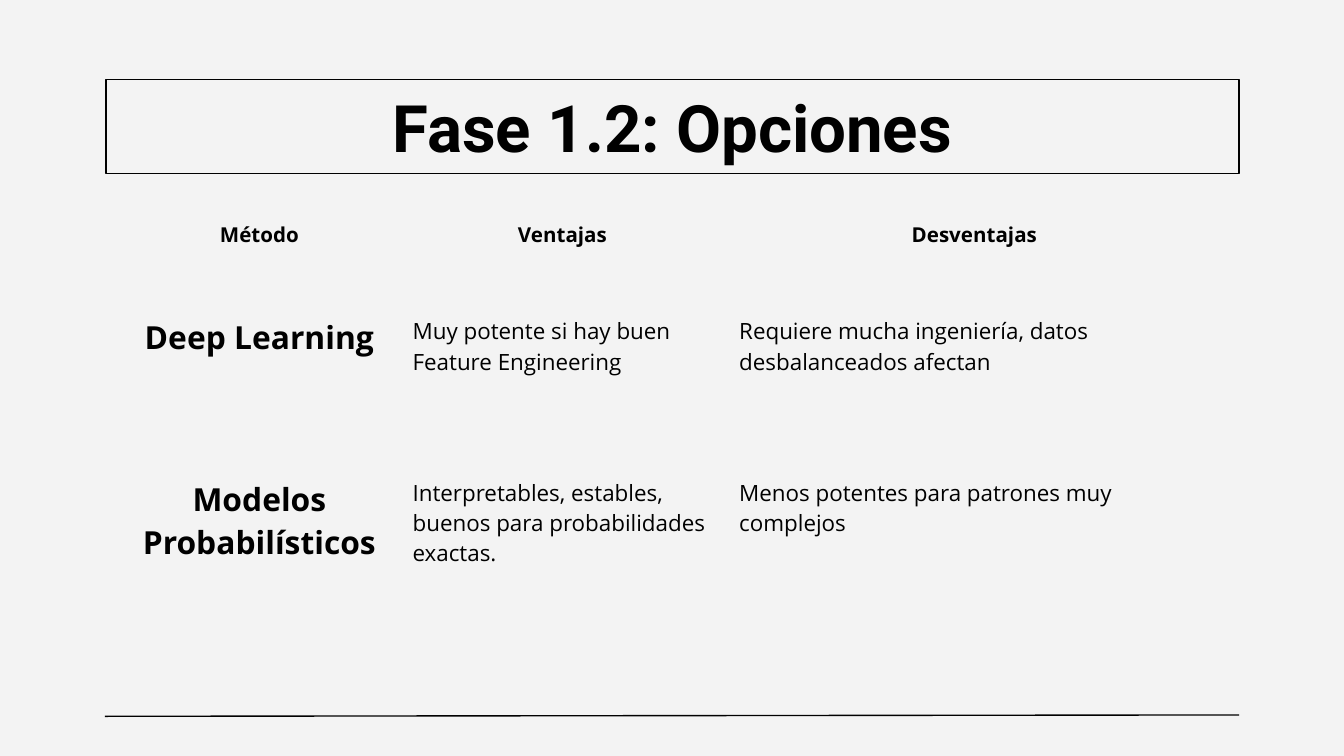
from lxml import etree
from pptx import Presentation
from pptx.dml.color import RGBColor
from pptx.enum.shapes import MSO_CONNECTOR, MSO_SHAPE
from pptx.enum.text import MSO_ANCHOR, PP_ALIGN
from pptx.oxml.ns import qn
from pptx.util import Inches, Pt

CENTER, LEFT = PP_ALIGN.CENTER, PP_ALIGN.LEFT
MIDDLE, TOP = MSO_ANCHOR.MIDDLE, MSO_ANCHOR.TOP

TITLE = "Fase 1.2: Opciones"
HEADERS = ["Método", "Ventajas", "Desventajas"]
OPTIONS = [
    ("Deep Learning",
     "Muy potente si hay buen Feature Engineering",
     "Requiere mucha ingeniería, datos desbalanceados afectan"),
    ("Modelos Probabilísticos",
     "Interpretables, estables, buenos para probabilidades exactas.",
     "Menos potentes para patrones muy complejos"),
]

THEME = {
    "background": RGBColor(0xF3, 0xF3, 0xF3),
    "ink": RGBColor(0, 0, 0),
    "line_width": Pt(0.75),
    "title": {"name": "Roboto", "size": Pt(35), "bold": True},
    "header": {"name": "Open Sans", "size": Pt(11), "bold": True},
    "method": {"name": "Open Sans", "size": Pt(17), "bold": True},
    "detail": {"name": "Open Sans", "size": Pt(12), "bold": False},
}
SLIDE_WIDTH = Inches(10)
SLIDE_HEIGHT = SLIDE_WIDTH * 9 // 16
TITLE_BOX = (0.79, 0.59, 8.43, 0.7)
FOOTER_LINE = (0.78, 5.33, 9.22, 5.32)
TABLE_LEFT, TABLE_TOP = 0.89, 1.51
COLUMN_WIDTHS = [2.08, 2.43, 3.7]
ROW_HEIGHTS = [0.74, 1.2, 1.2]
PADDING = Inches(0.1)
NO_STYLE_NO_GRID = "{2D5ABB26-0587-4C30-8999-92F81FD0307C}"


def set_margins(target):
    for side in ("left", "top", "right", "bottom"):
        setattr(target, f"margin_{side}", PADDING)


def write_text(text_frame, text, role, alignment, line_spacing=1.0):
    text_frame.word_wrap = True
    paragraph = text_frame.paragraphs[0]
    paragraph.alignment = alignment
    paragraph.line_spacing = line_spacing
    run = paragraph.add_run()
    run.text = text
    for attribute, value in THEME[role].items():
        setattr(run.font, attribute, value)
    run.font.color.rgb = THEME["ink"]


def style_line(line):
    line.color.rgb = THEME["ink"]
    line.width = THEME["line_width"]


def add_title(slide):
    box = slide.shapes.add_shape(MSO_SHAPE.RECTANGLE, *map(Inches, TITLE_BOX))
    box.shadow.inherit = False
    box.fill.background()
    style_line(box.line)
    set_margins(box.text_frame)
    box.text_frame.vertical_anchor = MIDDLE
    write_text(box.text_frame, TITLE, "title", CENTER)


def add_footer_line(slide):
    connector = slide.shapes.add_connector(
        MSO_CONNECTOR.STRAIGHT, *map(Inches, FOOTER_LINE))
    style_line(connector.line)
    etree.SubElement(connector._element.spPr, qn("a:effectLst"))


def add_options_table(slide):
    rows = [HEADERS, *OPTIONS]
    frame = slide.shapes.add_table(
        len(rows), len(HEADERS), Inches(TABLE_LEFT), Inches(TABLE_TOP),
        Inches(sum(COLUMN_WIDTHS)), Inches(sum(ROW_HEIGHTS)))
    table = frame.table
    table.first_row = table.horz_banding = False
    table._tbl.tblPr.find(qn("a:tableStyleId")).text = NO_STYLE_NO_GRID
    for column, width in zip(table.columns, COLUMN_WIDTHS):
        column.width = Inches(width)
    for row, height in zip(table.rows, ROW_HEIGHTS):
        row.height = Inches(height)

    for row_index, texts in enumerate(rows):
        for column_index, text in enumerate(texts):
            cell = table.cell(row_index, column_index)
            cell.fill.background()
            cell.vertical_anchor = TOP
            set_margins(cell)
            if row_index == 0:
                write_text(cell.text_frame, text, "header", CENTER, 1.15)
            elif column_index == 0:
                write_text(cell.text_frame, text, "method", CENTER)
            else:
                write_text(cell.text_frame, text, "detail", LEFT)


def main():
    presentation = Presentation()
    presentation.slide_width = SLIDE_WIDTH
    presentation.slide_height = SLIDE_HEIGHT
    slide = presentation.slides.add_slide(presentation.slide_layouts[6])
    slide.background.fill.solid()
    slide.background.fill.fore_color.rgb = THEME["background"]
    add_footer_line(slide)
    add_title(slide)
    add_options_table(slide)
    presentation.save("out.pptx")


if __name__ == "__main__":
    main()
